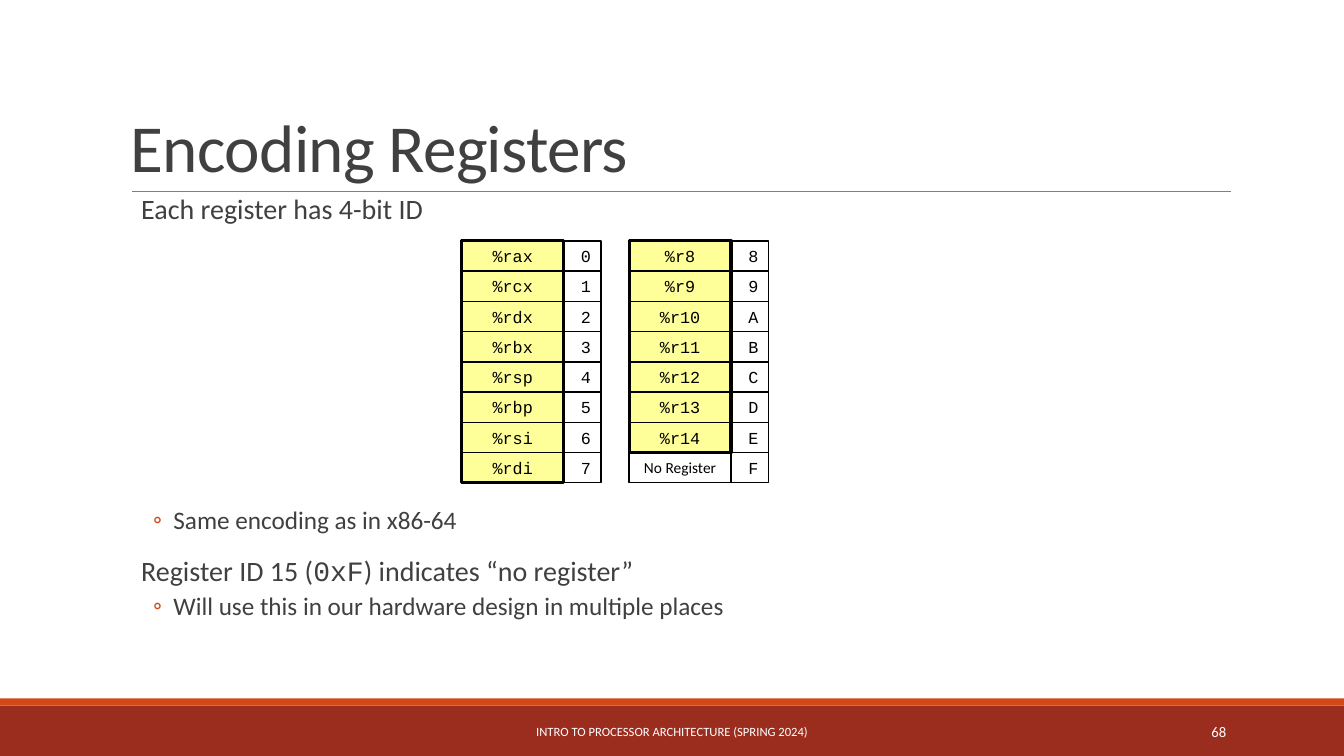
from lxml.etree import SubElement
from pptx import Presentation
from pptx.dml.color import RGBColor
from pptx.enum.shapes import MSO_CONNECTOR, MSO_SHAPE
from pptx.enum.text import MSO_ANCHOR, PP_ALIGN
from pptx.oxml.ns import qn
from pptx.util import Inches, Pt


def box(left, top, width, height, fill=None, line=None, weight=1):
    shape = slide.shapes.add_shape(
        MSO_SHAPE.RECTANGLE, Inches(left), Inches(top), Inches(width), Inches(height))
    shape.shadow.inherit = False
    if fill:
        shape.fill.solid()
        shape.fill.fore_color.rgb = RGBColor.from_string(fill)
    else:
        shape.fill.background()
    if line:
        shape.line.color.rgb = RGBColor.from_string(line)
        shape.line.width = Pt(weight)
    else:
        shape.line.fill.background()
    return shape


def write(shape, text, size=12, color="000000", font="Calibri", align=PP_ALIGN.LEFT,
          anchor=MSO_ANCHOR.MIDDLE, wrap=True, inset=0.1, spacing=1, before=0, after=0,
          margin=0, bullet=None, tracking=0):
    frame = shape.text_frame
    frame.word_wrap = wrap
    frame.vertical_anchor = anchor
    frame.margin_left = frame.margin_right = Inches(inset)
    paragraph = frame.paragraphs[0]
    if paragraph.runs:
        paragraph = frame.add_paragraph()
        paragraph.space_before = Pt(before)
    paragraph.alignment = align
    paragraph.line_spacing = spacing
    paragraph.space_after = Pt(after)
    properties = paragraph._p.get_or_add_pPr()
    properties.set("marL", str(Inches(margin)))
    if bullet:
        properties.set("indent", str(Inches(-0.2)))
        bullet_color = SubElement(properties, qn("a:buClr"))
        SubElement(bullet_color, qn("a:srgbClr"), val="D34817")
        SubElement(properties, qn("a:buFont"), typeface="Calibri")
        SubElement(properties, qn("a:buChar"), char=bullet)
    pieces = [(text, font)] if isinstance(text, str) else text
    for words, face in pieces:
        run = paragraph.add_run()
        run.text = words
        run.font.size = Pt(size)
        run.font.name = face
        run.font.color.rgb = RGBColor.from_string(color)
        if tracking:
            run.font._element.set("spc", str(tracking))


deck = Presentation()
deck.slide_width, deck.slide_height = Inches(13.33), Inches(7.5)
slide = deck.slides.add_slide(deck.slide_layouts[6])

box(0, 7, 13.33, 0.5, fill="9B2D1F")
box(0, 6.93, 13.33, 0.07, fill="D34817")

title_rule = slide.shapes.add_connector(
    MSO_CONNECTOR.STRAIGHT, Inches(1.31), Inches(1.9), Inches(12.21), Inches(1.9))
title_rule.line.color.rgb = RGBColor.from_string("808080")
title_rule.line.width = Pt(0.5)
SubElement(title_rule._element.spPr, qn("a:effectLst"))

title = slide.shapes.add_textbox(Inches(1.2), Inches(0.31), Inches(11), Inches(1.59))
write(title, "Encoding Registers", size=48, color="404040", anchor=MSO_ANCHOR.BOTTOM,
      spacing=0.85, tracking=-50)

point = dict(size=20, color="404040", anchor=MSO_ANCHOR.TOP, inset=0, spacing=0.9,
             before=12, after=2, margin=0.1)
subpoint = dict(point, size=18, before=2, after=4, margin=0.42, bullet="◦")

introduction = slide.shapes.add_textbox(Inches(1.3), Inches(1.89), Inches(10.27), Inches(0.42))
write(introduction, "Each register has 4-bit ID", **point)

remarks = slide.shapes.add_textbox(Inches(1.3), Inches(4.99), Inches(10.27), Inches(1.83))
write(remarks, "Same encoding as in x86-64", **subpoint)
write(remarks, [("Register ID 15 (", "Calibri"), ("0xF", "Courier New"),
                (") indicates “no register”", "Calibri")], **point)
write(remarks, "Will use this in our hardware design in multiple places", **subpoint)

registers_top, row_height, name_width, id_width = 2.39, 0.3, 1.01, 0.37
banks = [
    (4.58, ["%rax", "%rcx", "%rdx", "%rbx", "%rsp", "%rbp", "%rsi", "%rdi"], "01234567"),
    (6.24, ["%r8", "%r9", "%r10", "%r11", "%r12", "%r13", "%r14", "No Register"], "89ABCDEF"),
]
for left, names, ids in banks:
    register_count = sum(name.startswith("%") for name in names)
    box(left, registers_top, name_width, register_count * row_height,
        fill="FFFF99", line="000000", weight=2.25)
    for row, (name, register_id) in enumerate(zip(names, ids)):
        top = registers_top + row * row_height
        is_register = name.startswith("%")
        name_cell = box(left, top, name_width, row_height, line="000000")
        write(name_cell, name, size=12 if is_register else 11,
              font="Courier New" if is_register else "Calibri",
              align=PP_ALIGN.CENTER, wrap=False)
        id_cell = box(left + name_width, top, id_width, row_height, line="000000")
        write(id_cell, register_id, font="Courier New", align=PP_ALIGN.RIGHT, wrap=False)

course = slide.shapes.add_textbox(Inches(4.03), Inches(7.06), Inches(5.27), Inches(0.4))
write(course, "INTRO TO PROCESSOR ARCHITECTURE (SPRING 2024)", size=9, color="FFFFFF",
      align=PP_ALIGN.CENTER)
page_number = slide.shapes.add_textbox(Inches(10.83), Inches(7.06), Inches(1.43), Inches(0.4))
write(page_number, "68", size=10.5, color="FFFFFF", align=PP_ALIGN.RIGHT)

deck.save("out.pptx")
